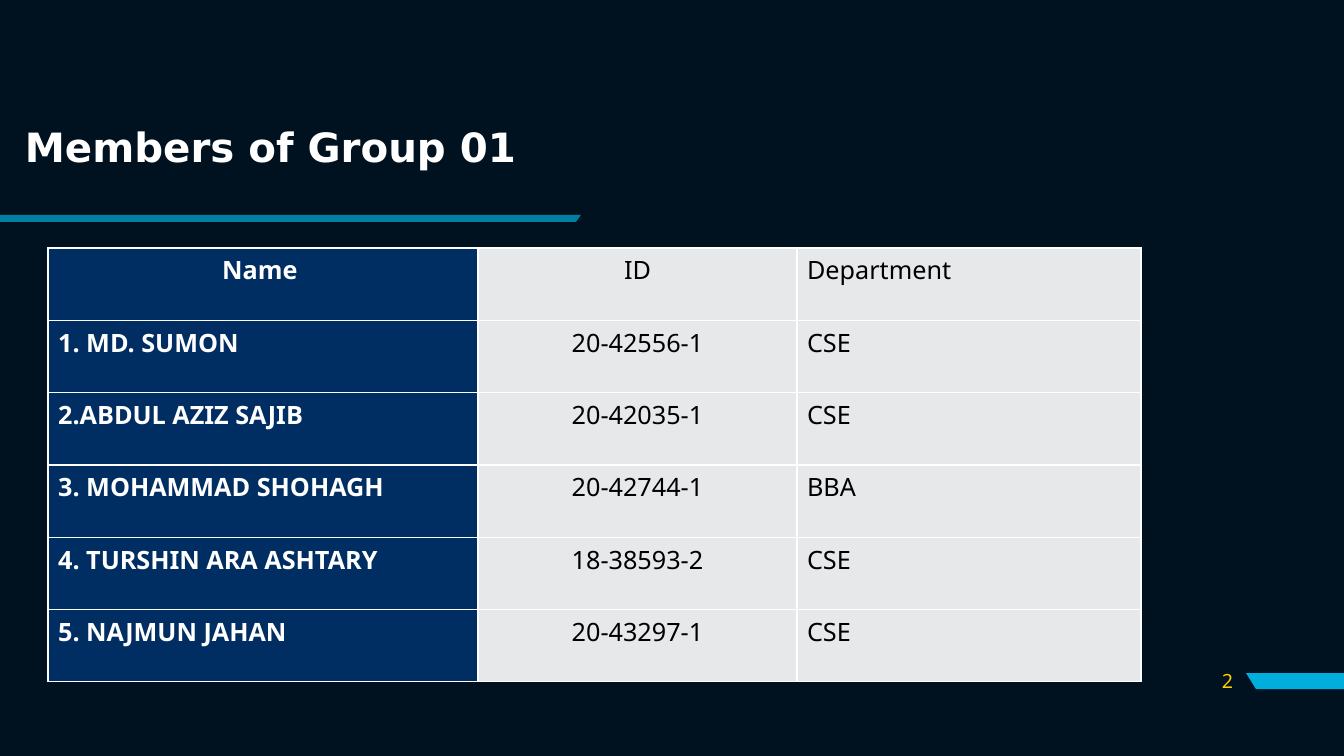
import pptx
import pptx.dml.color
import pptx.enum.text
import pptx.oxml
import pptx.oxml.ns
import pptx.util

RGBColor = pptx.dml.color.RGBColor
ALIGN = pptx.enum.text.PP_ALIGN
MIDDLE = pptx.enum.text.MSO_ANCHOR.MIDDLE

EMU_PER_PX = 914400 / 100.8
SLIDE_SIZE = (1344, 756)

NIGHT = RGBColor(0x00, 0x11, 0x1F)
CYAN = RGBColor(0x00, 0xAE, 0xDE)
NAVY = RGBColor(0x00, 0x2E, 0x62)
PALE = RGBColor(0xE7, 0xE8, 0xEA)
YELLOW = RGBColor(0xFF, 0xCD, 0x00)
WHITE = RGBColor(0xFF, 0xFF, 0xFF)
BLACK = RGBColor(0x00, 0x00, 0x00)

MEMBERS = [
    ("Name ", "ID", "Department"),
    ("1. MD. SUMON", "20-42556-1", "CSE"),
    ("2.ABDUL AZIZ SAJIB", "20-42035-1", "CSE"),
    ("3. MOHAMMAD SHOHAGH", "20-42744-1", "BBA"),
    ("4. TURSHIN ARA ASHTARY", "18-38593-2", "CSE"),
    ("5. NAJMUN JAHAN", "20-43297-1", "CSE"),
]
COLUMN_WIDTHS = (430, 319, 344)


def px(length):
    return pptx.util.Emu(round(length * EMU_PER_PX))


class SlideBuilder:
    body_font = "Noto Sans"
    title_font = "DejaVu Sans"

    def __init__(self, deck):
        self.slide = deck.slides.add_slide(deck.slide_layouts[6])
        background = self.slide.background.fill
        background.solid()
        background.fore_color.rgb = NIGHT

    def fill_text(self, frame, text, color, align=ALIGN.LEFT, spacing=None, **font_format):
        paragraph = frame.paragraphs[0]
        paragraph.alignment = align
        paragraph.line_spacing = spacing
        run = paragraph.add_run()
        run.text = text
        run.font.color.rgb = color
        for name, value in {"name": self.body_font, **font_format}.items():
            setattr(run.font, name, value)

    def text(self, box, text, color, **text_format):
        frame = self.slide.shapes.add_textbox(*map(px, box)).text_frame
        frame.word_wrap = True
        frame.vertical_anchor = MIDDLE
        self.fill_text(frame, text, color, **text_format)

    def band(self, corners, opacity=100):
        """Draw a filled outline; opacity is a percentage."""
        outline = self.slide.shapes.build_freeform(*corners[0], scale=EMU_PER_PX)
        outline.add_line_segments(corners[1:], close=True)
        band = outline.convert_to_shape()
        band.shadow.inherit = False
        band.line.fill.background()
        band.fill.solid()
        band.fill.fore_color.rgb = CYAN
        if opacity < 100:
            color = band.fill._xPr.find(".//" + pptx.oxml.ns.qn("a:srgbClr"))
            color.append(pptx.oxml.parse_xml(
                f'<a:alpha {pptx.oxml.ns.nsdecls("a")} val="{opacity * 1000}"/>'))

    def cell_borders(self, cell):
        properties = cell._tc.get_or_add_tcPr()
        for side in ("lnL", "lnR", "lnT", "lnB"):
            properties.append(pptx.oxml.parse_xml(
                f'<a:{side} {pptx.oxml.ns.nsdecls("a")} w="12700"><a:solidFill>'
                f'<a:srgbClr val="{WHITE}"/></a:solidFill></a:{side}>'))

    def table(self, left, top, height, widths, rows):
        """Draw a table with a dark first column and a centred header name and second column."""
        table = self.slide.shapes.add_table(
            len(rows), len(widths), *map(px, (left, top, sum(widths), height))).table
        table.first_row = table.horz_banding = False
        for column, width in zip(table.columns, widths):
            column.width = px(width)
        for r, row in enumerate(rows):
            for c, text in enumerate(row):
                cell = table.cell(r, c)
                is_name = c == 0
                centred = c == 1 or (r == 0 and is_name)
                self.cell_borders(cell)
                cell.fill.solid()
                cell.fill.fore_color.rgb = NAVY if is_name else PALE
                self.fill_text(cell.text_frame, text, WHITE if is_name else BLACK,
                               align=ALIGN.CENTER if centred else ALIGN.LEFT,
                               size=pptx.util.Pt(18), bold=is_name)


def main():
    deck = pptx.Presentation()
    deck.slide_width, deck.slide_height = map(px, SLIDE_SIZE)
    members = SlideBuilder(deck)
    members.band([(1344, 673), (1344, 689), (1256, 689), (1246, 673)])
    members.band([(0, 215), (0, 222), (576, 222), (581, 215)], opacity=70)
    members.text((15, 106, 557, 87), "Members of Group 01", WHITE, spacing=0.9,
                 name=members.title_font, size=pptx.util.Pt(28.8), bold=True)
    members.text((1182, 661, 61, 40), "2", YELLOW, align=ALIGN.RIGHT,
                 size=pptx.util.Pt(14))
    members.table(48, 248, 434, COLUMN_WIDTHS, MEMBERS)
    deck.save("out.pptx")


if __name__ == "__main__":
    main()
